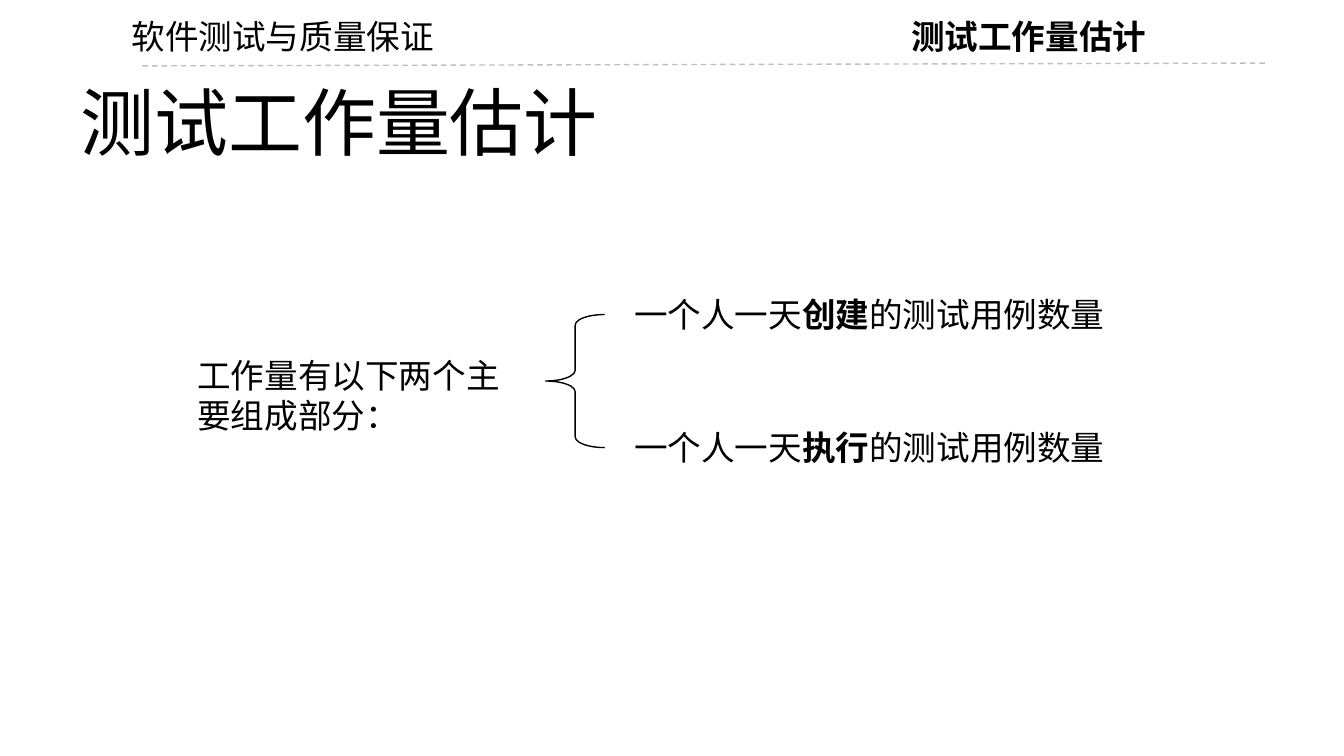
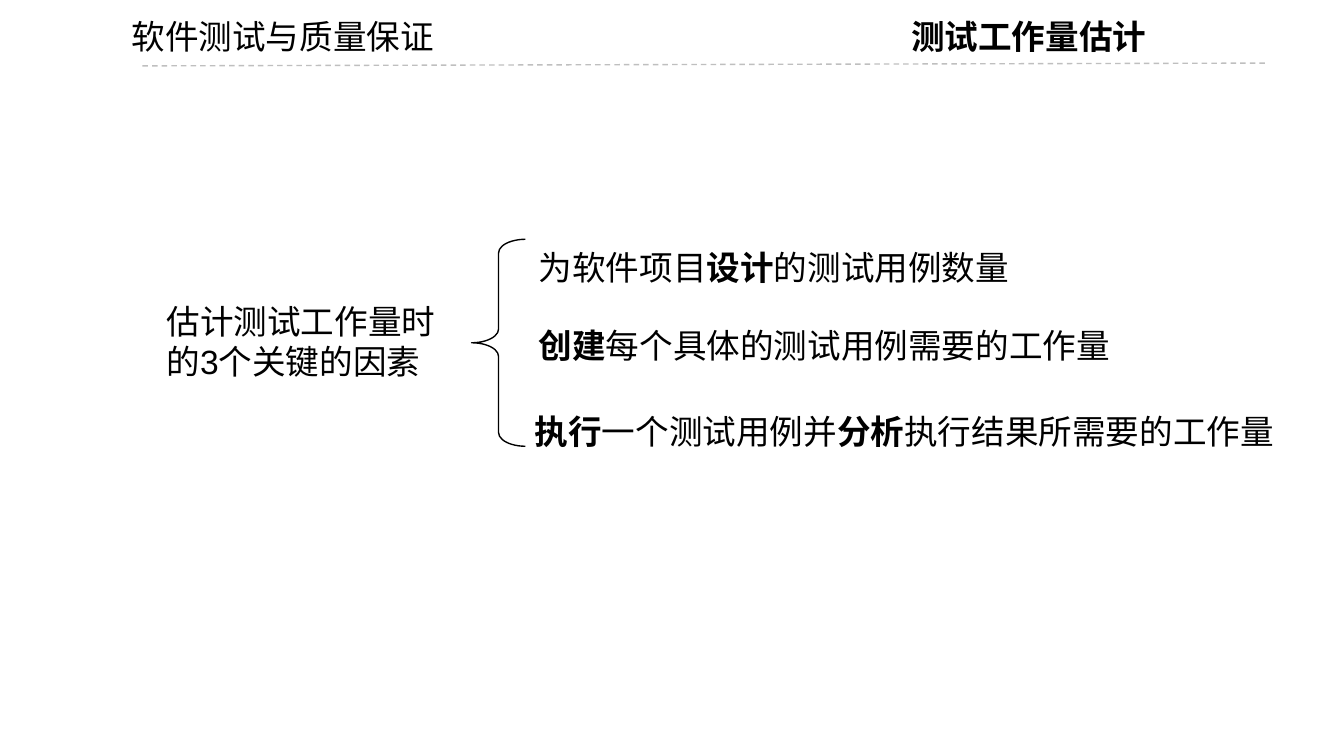
from dataclasses import dataclass

from pptx import Presentation
from pptx.dml.color import RGBColor
from pptx.enum.dml import MSO_LINE
from pptx.enum.lang import MSO_LANGUAGE_ID
from pptx.enum.shapes import MSO_CONNECTOR, MSO_SHAPE
from pptx.enum.text import MSO_ANCHOR, PP_ALIGN
from pptx.oxml.ns import qn
from pptx.util import Pt


@dataclass(frozen=True)
class Theme:
    ink: RGBColor = RGBColor(0x00, 0x00, 0x00)
    rule: RGBColor = RGBColor(0xBF, 0xBF, 0xBF)
    body_font: str = "Arial"
    title_font: str = "Calibri"
    course_font: str = "Noto Sans CJK SC"
    body_size: float = 18
    title_size: float = 39.6
    line_width: float = 0.75


THEME = Theme()
COURSE = "软件测试与质量保证"
TOPIC = "测试工作量估计"
LINE_HEIGHT = 29


def add_text(slide, frame, spans, font=THEME.body_font, size=THEME.body_size,
             align=PP_ALIGN.LEFT, anchor=MSO_ANCHOR.TOP):
    """Add one paragraph made of (text, bold) spans."""
    box = slide.shapes.add_textbox(*map(Pt, frame))
    box.text_frame.word_wrap = True
    box.text_frame.vertical_anchor = anchor
    para = box.text_frame.paragraphs[0]
    para.alignment = align
    for text, bold in spans:
        span = para.add_run()
        span.text = text
        span.font.name = font
        span.font.size = Pt(size)
        span.font.bold = bold
        span.font.color.rgb = THEME.ink
        span.font.language_id = MSO_LANGUAGE_ID.SIMPLIFIED_CHINESE


def add_header(slide):
    add_text(slide, (44.6, 5, 213.8, LINE_HEIGHT), [(COURSE, False)],
             font=THEME.course_font, align=PP_ALIGN.CENTER)
    add_text(slide, (481, 5, 272, LINE_HEIGHT), [(TOPIC, True)],
             font=THEME.title_font)
    rule = slide.shapes.add_connector(
        MSO_CONNECTOR.STRAIGHT, Pt(76.3), Pt(35.3), Pt(679.7), Pt(33.8))
    rule.line.color.rgb = THEME.rule
    rule.line.width = Pt(THEME.line_width)
    rule.line.dash_style = MSO_LINE.DASH
    properties = rule._element.spPr
    properties.append(properties.makeelement(qn("a:effectLst"), {}))


def add_title(slide, text):
    add_text(slide, (36, 40.3, 648, 49), [(text, False)], font=THEME.title_font,
             size=THEME.title_size, anchor=MSO_ANCHOR.MIDDLE)


def add_brace(slide, frame, curl):
    brace = slide.shapes.add_shape(MSO_SHAPE.LEFT_BRACE, *map(Pt, frame))
    brace.adjustments[0] = curl
    brace.adjustments[1] = 0.5
    brace.shadow.inherit = False
    brace.fill.background()
    brace.line.color.rgb = THEME.ink
    brace.line.width = Pt(THEME.line_width)


def add_breakdown(slide, label, label_frame, brace_frame, curl, items):
    """Add a label, a brace and the (left, top, width, spans) items it opens to."""
    add_text(slide, label_frame, [(label, False)])
    add_brace(slide, brace_frame, curl)
    for left, top, width, spans in items:
        add_text(slide, (left, top, width, LINE_HEIGHT), spans)


def add_page(deck):
    page = deck.slides.add_slide(deck.slide_layouts[6])
    add_header(page)
    return page


def add_components_page(deck):
    page = add_page(deck)
    add_title(page, TOPIC)
    items = [
        (332.6, 154.1 + 71.3 * row, 301.7,
         [("一个人一天", False), (action, True), ("的测试用例数量", False)])
        for row, action in enumerate(("创建", "执行"))
    ]
    add_breakdown(page, "工作量有以下两个主要组成部分：", (98.6, 186.5, 191.5, 50.4),
                  (292.3, 168.5, 31.7, 71.3), 0.181, items)


def add_factors_page(deck):
    page = add_page(deck)
    items = [
        (281.5, 128.9, 319,
         [("为软件项目", False), ("设计", True), ("的测试用例数量", False)]),
        (281.5, 170.6, 372.2,
         [("创建", True), ("每个具体的测试用例需要的工作量", False)]),
        (279.4, 216.7, 425.5,
         [("执行", True), ("一个测试用例并", False), ("分析", True),
          ("执行结果所需要的工作量", False)]),
    ]
    add_breakdown(page, "估计测试工作量时的3个关键的因素", (82.1, 157.7, 167.8, 51.1),
                  (252.7, 128.2, 28.8, 110.9), 0.255, items)


def main():
    deck = Presentation()
    deck.slide_width, deck.slide_height = Pt(720), Pt(405)
    add_components_page(deck)
    add_factors_page(deck)
    deck.save("out.pptx")


if __name__ == "__main__":
    main()
